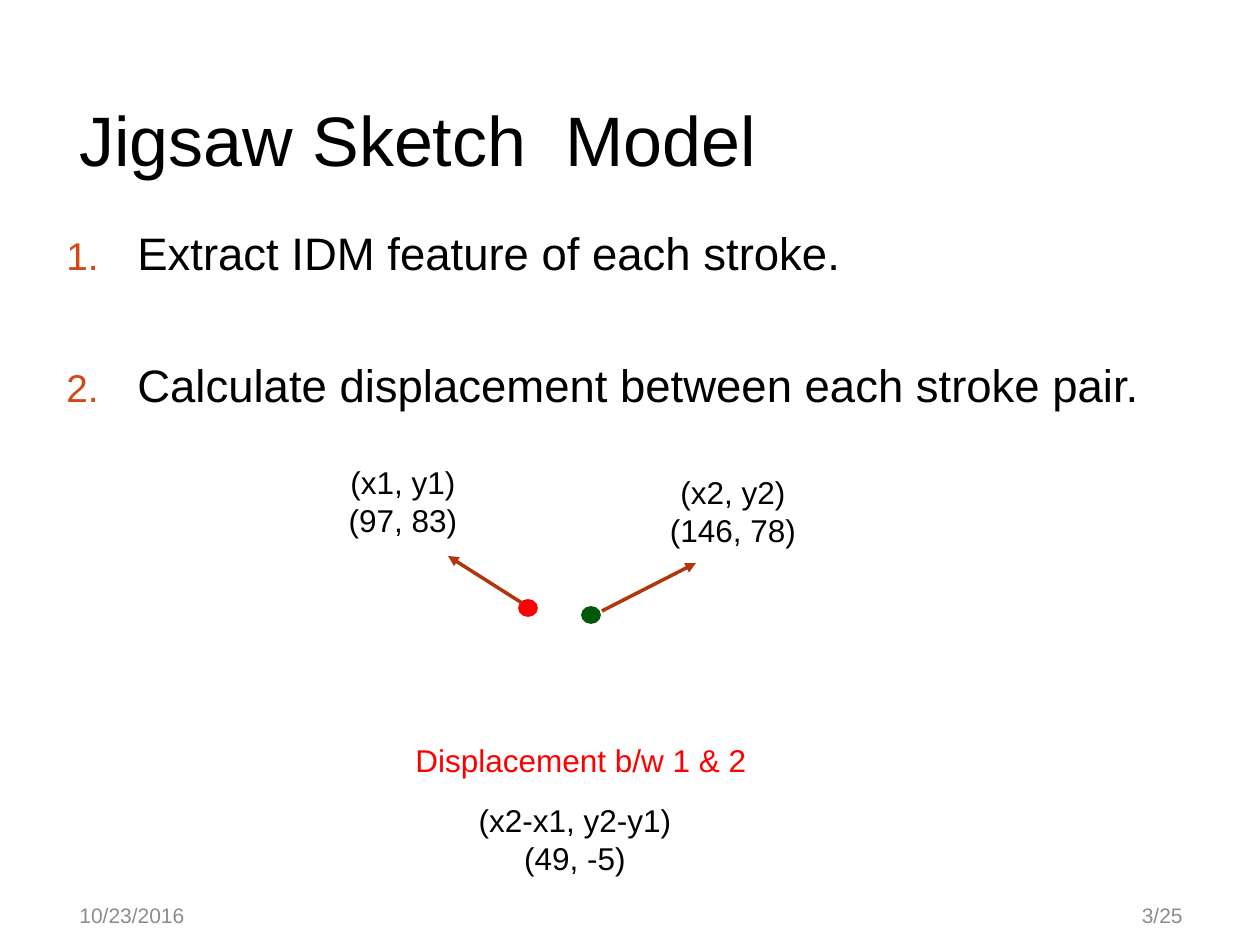
from dataclasses import dataclass

from lxml import etree
from pptx import Presentation
from pptx.dml.color import RGBColor
from pptx.enum.shapes import MSO_CONNECTOR, MSO_SHAPE
from pptx.enum.text import MSO_ANCHOR, PP_ALIGN
from pptx.oxml.ns import qn
from pptx.util import Pt

LEFT, MID, RIGHT = PP_ALIGN.LEFT, PP_ALIGN.CENTER, PP_ALIGN.RIGHT
TOP, CENTER, BOTTOM = MSO_ANCHOR.TOP, MSO_ANCHOR.MIDDLE, MSO_ANCHOR.BOTTOM
OVAL, LINE = MSO_SHAPE.OVAL, MSO_CONNECTOR.STRAIGHT

SCALE = 914400 / 126
FONT = "Arial"
BLACK, GREY, RED, GREEN = "000000", "8C8C8C", "FF0000", "00580A"
RUST, ORANGE = "B1360B", "D34817"


@dataclass
class Label:
    box: tuple[int, int, int, int]
    lines: list[str]
    size: int = 18
    ink: str = BLACK
    align: PP_ALIGN = MID
    anchor: MSO_ANCHOR = TOP
    foot: int = 6


@dataclass
class Dot:
    x: int
    y: int
    ink: str


@dataclass
class Arrow:
    start: tuple[int, int]
    end: tuple[int, int]


LABELS = [
    Label((67, 72, 1133, 122), ["Jigsaw Sketch  Model"], 40, BLACK, LEFT, BOTTOM, 13),
    Label((67, 890, 284, 50), ["10/23/2016"], 12, GREY, LEFT, CENTER),
    Label((911, 890, 284, 50), ["3/25"], 12, GREY, RIGHT, CENTER),
    Label((333, 457, 140, 90), ["(x1, y1)", "(97, 83)"]),
    Label((649, 467, 168, 90), ["(x2, y2)", "(146, 78)"]),
    Label((403, 735, 365, 50), ["Displacement b/w 1 & 2"], ink=RED, align=LEFT),
    Label((461, 795, 228, 90), ["(x2-x1, y2-y1)", "(49, -5)"]),
]
STEPS = Label(
    (54, 219, 1133, 660),
    ["Extract IDM feature of each stroke.",
     "Calculate displacement between each stroke pair."],
    26, align=LEFT,
)
DOTS = [Dot(519, 600, RED), Dot(582, 607, GREEN)]
ARROWS = [Arrow((522, 603), (448, 556)), Arrow((602, 611), (696, 563))]


def px(n: int) -> int:
    return round(n * SCALE)


def rgb(ink: str) -> RGBColor:
    return RGBColor.from_string(ink)


def add_label(slide, item: Label):
    frame = slide.shapes.add_textbox(*map(px, item.box)).text_frame
    frame.word_wrap = True
    frame.vertical_anchor = item.anchor
    frame.margin_bottom = px(item.foot)
    for i, line in enumerate(item.lines):
        para = frame.add_paragraph() if i else frame.paragraphs[0]
        para.alignment = item.align
        run = para.add_run()
        run.text = line
        run.font.name = FONT
        run.font.size = Pt(item.size)
        run.font.color.rgb = rgb(item.ink)
    return frame


def add_steps(slide, item: Label) -> None:
    frame = add_label(slide, item)
    for i, para in enumerate(frame.paragraphs):
        if i:
            para.space_before = Pt(44)
        props = para._p.get_or_add_pPr()
        props.set("marL", str(px(71)))
        props.set("indent", str(px(-71)))
        tint = etree.SubElement(props, qn("a:buClr"))
        etree.SubElement(tint, qn("a:srgbClr"), val=ORANGE)
        etree.SubElement(props, qn("a:buSzPct"), val="85000")
        etree.SubElement(props, qn("a:buFont"), typeface=FONT)
        etree.SubElement(props, qn("a:buAutoNum"), type="arabicPeriod")


def add_dot(slide, dot: Dot) -> None:
    shape = slide.shapes.add_shape(OVAL, *map(px, (dot.x, dot.y, 18, 16)))
    shape.shadow.inherit = False
    shape.fill.solid()
    shape.fill.fore_color.rgb = rgb(dot.ink)
    shape.line.color.rgb = rgb(dot.ink)
    shape.line.width = Pt(1)


def add_arrow(slide, arrow: Arrow) -> None:
    link = slide.shapes.add_connector(LINE, *map(px, arrow.start + arrow.end))
    link.line.color.rgb = rgb(RUST)
    link.line.width = Pt(2)
    etree.SubElement(link.line._get_or_add_ln(), qn("a:tailEnd"), type="triangle")
    etree.SubElement(link._element.spPr, qn("a:effectLst"))


def main() -> None:
    deck = Presentation()
    deck.slide_width, deck.slide_height = px(1260), px(945)
    slide = deck.slides.add_slide(deck.slide_layouts[6])

    # Numbered steps
    add_steps(slide, STEPS)

    # Stroke points and their arrows
    for dot in DOTS:
        add_dot(slide, dot)
    for arrow in ARROWS:
        add_arrow(slide, arrow)

    # Title, footer and captions
    for item in LABELS:
        add_label(slide, item)

    deck.save("out.pptx")


if __name__ == "__main__":
    main()
